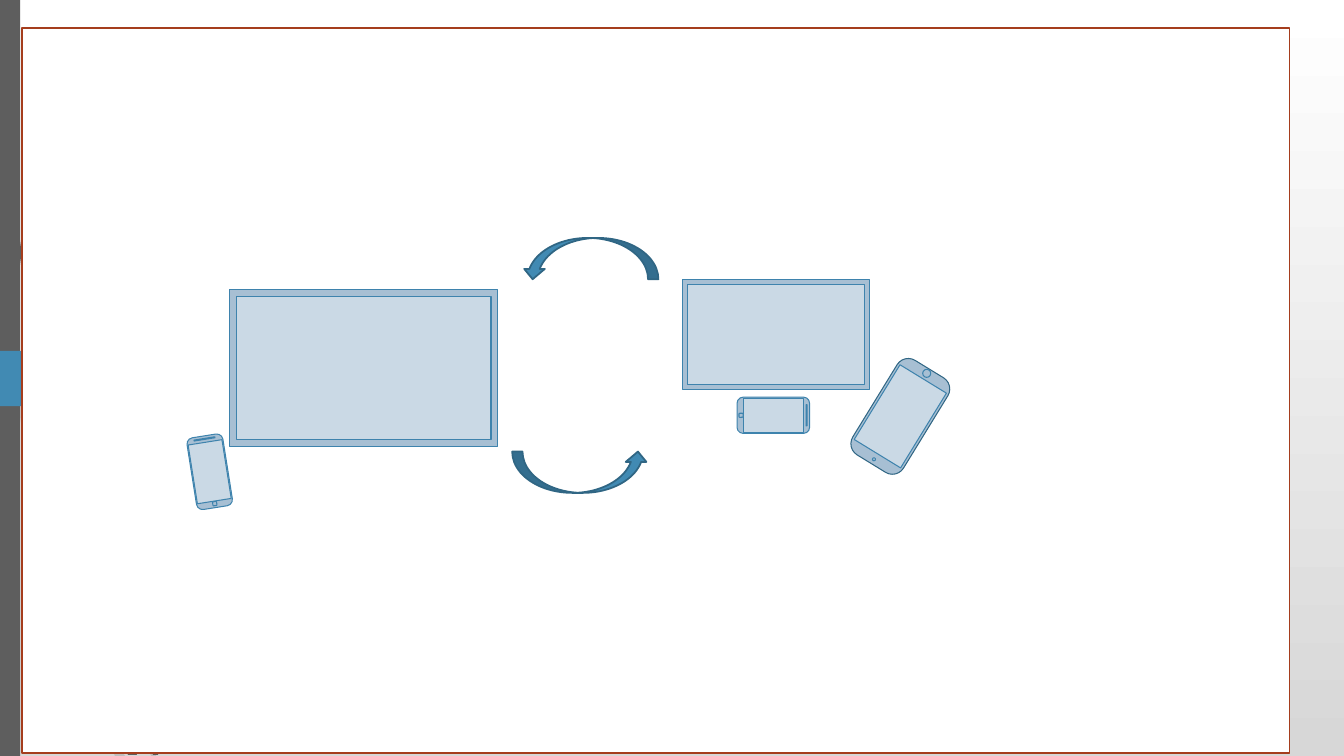
from math import cos, radians, sin

from lxml.etree import SubElement
from pptx import Presentation
from pptx.dml.color import RGBColor
from pptx.enum.shapes import MSO_SHAPE as Kind
from pptx.oxml.ns import qn
from pptx.util import Inches, Pt

COLORS = {
    "white": "FFFFFF", "silver": "D7D7D7", "gray": "5E5E5E",
    "blue": "418AB3", "navy": "306684", "edge": "3E83AD",
    "frame": "A7BFD3", "screen": "CAD9E5", "rust": "A53D1D",
}

FAINT_WISPS = [
    [(0, 2.82), (0.09, 3.22), (0.11, 3.5), (0.1, 3.44), (0, 2.99)],
    [(0.14, 3.45), (0.62, 5.2), (0.85, 5.86), (0.84, 5.99),
     (0.58, 5.22), (0.17, 3.76)],
    [(0.88, 5.96), (0.92, 6.07), (1.27, 6.92), (1.55, 7.5), (1.5, 7.5),
     (1.23, 6.94), (0.88, 6.1)],
    [(0.11, 3.5), (0.17, 3.76), (0.31, 4.69), (0.7, 6.19), (0.93, 6.83),
     (1.05, 7.11), (1.24, 7.5), (1.14, 7.5), (0.92, 6.93), (0.65, 6.21),
     (0.28, 4.7)],
]
SOLID_WISPS = [
    [(0.03, 0), (0.04, 0), (0.08, 1.09), (0.19, 2.32), (0.36, 3.55),
     (0.55, 4.53), (0.57, 4.81), (0.33, 3.55), (0.17, 2.33), (0.07, 1.1)],
    [(1.1, 6.41), (1.13, 6.49), (1.36, 7.06), (1.57, 7.49), (1.52, 7.49),
     (1.32, 7.08), (1.11, 6.56)],
    [(1.1, 6.91), (1.22, 7.19), (1.36, 7.49), (1.27, 7.49), (1.16, 7.17)],
]
TAB = [(0, 3.48), (1.48, 3.48), (1.74, 3.75), (1.48, 4.03), (0, 4.03)]

SMALL_PHONE = [
    (Kind.ROUNDED_RECTANGLE, 0, 0.72, 0.36, "frame"),
    (Kind.RECTANGLE, 0, 0.59, 0.34, "screen"),
    (Kind.ROUNDED_RECTANGLE, -0.32, 0.04, 0.04, "frame"),
    (Kind.ROUNDED_RECTANGLE, 0.33, 0.01, 0.21, "frame"),
]
LARGE_PHONE = [
    (Kind.ROUNDED_RECTANGLE, 0, 1.1, 0.59, "frame"),
    (Kind.RECTANGLE, 0, 0.87, 0.54, "screen"),
    (Kind.OVAL, 0.5, 0.08, 0.08, "frame"),
    (Kind.OVAL, -0.5, 0.03, 0.03, "frame"),
]


def rgb(name):
    return RGBColor.from_string(COLORS[name])


class Canvas:
    def __init__(self, page):
        self.page = page

    def background(self, top, bottom):
        fill = self.page.background.fill
        fill.gradient()
        fill.gradient_angle = 270
        for stop, name in zip(fill.gradient_stops, (top, bottom)):
            stop.color.rgb = rgb(name)

    def paint(self, shape, fill, line=None, width=0.75):
        shape.shadow.inherit = False
        shape.fill.solid()
        shape.fill.fore_color.rgb = rgb(fill)
        if line:
            shape.line.color.rgb = rgb(line)
            shape.line.width = Pt(width)
        else:
            shape.line.fill.background()

    def box(self, kind, bounds, fill, line=None, width=0.75, angle=0, shapes=None):
        shapes = shapes or self.page.shapes
        shape = shapes.add_shape(kind, *map(Inches, bounds))
        self.paint(shape, fill, line, width)
        for name, value in {"rotation": angle}.items():
            setattr(shape, name, value)
        return shape

    def outline(self, points, fill, opacity=100):
        start, *rest = [(Inches(x), Inches(y)) for x, y in points]
        builder = self.page.shapes.build_freeform(*start)
        builder.add_line_segments(rest)
        shape = builder.convert_to_shape()
        self.paint(shape, fill)
        if opacity < 100:
            color = next(shape.element.spPr.iter(qn("a:srgbClr")))
            SubElement(color, qn("a:alpha"), val=str(opacity * 1000))

    def monitor(self, left, top, width, height, bezel):
        group = self.page.shapes.add_group_shape()
        for inset, fill in ((0, "frame"), (bezel, "screen")):
            bounds = (left + inset, top + inset,
                      width - 2 * inset, height - 2 * inset)
            self.box(Kind.RECTANGLE, bounds, fill, "edge", shapes=group.shapes)

    def phone(self, center, parts, angle, body_line="edge", corner=0.17):
        group = self.page.shapes.add_group_shape()
        turn = radians(angle)
        for index, (kind, offset, width, height, fill) in enumerate(parts):
            bounds = (center[0] + offset * cos(turn) - width / 2,
                      center[1] + offset * sin(turn) - height / 2,
                      width, height)
            line = "edge" if index else body_line
            part = self.box(kind, bounds, fill, line, angle=angle, shapes=group.shapes)
            if index == 0:
                part.adjustments[0] = corner


def main():
    deck = Presentation()
    deck.slide_width, deck.slide_height = Inches(13.33), Inches(7.5)
    canvas = Canvas(deck.slides.add_slide(deck.slide_layouts[6]))
    canvas.background("white", "silver")
    for wisps, opacity in ((FAINT_WISPS, 20), (SOLID_WISPS, 100)):
        for points in wisps:
            canvas.outline(points, "gray", opacity)
    canvas.box(Kind.RECTANGLE, (0, 0, 0.2, 7.5), "gray")
    canvas.outline(TAB, "blue")
    canvas.box(Kind.RECTANGLE, (0.22, 0.28, 12.57, 7.19), "white", "rust", 1.25)

    canvas.phone((7.67, 4.12), SMALL_PHONE, 0)
    canvas.monitor(2.28, 2.87, 2.66, 1.56, 0.07)
    canvas.monitor(6.77, 2.77, 1.85, 1.09, 0.05)
    canvas.phone((8.93, 4.13), LARGE_PHONE, 301.5, "navy", 0.22)
    canvas.phone((2.08, 4.68), SMALL_PHONE, 261)
    for left, top, angle in ((5.18, 2.36, 180), (5.08, 4.48, 0)):
        canvas.box(Kind.CURVED_UP_ARROW, (left, top, 1.35, 0.41),
                   "blue", "navy", 1.25, angle)
    deck.save("out.pptx")


if __name__ == "__main__":
    main()
